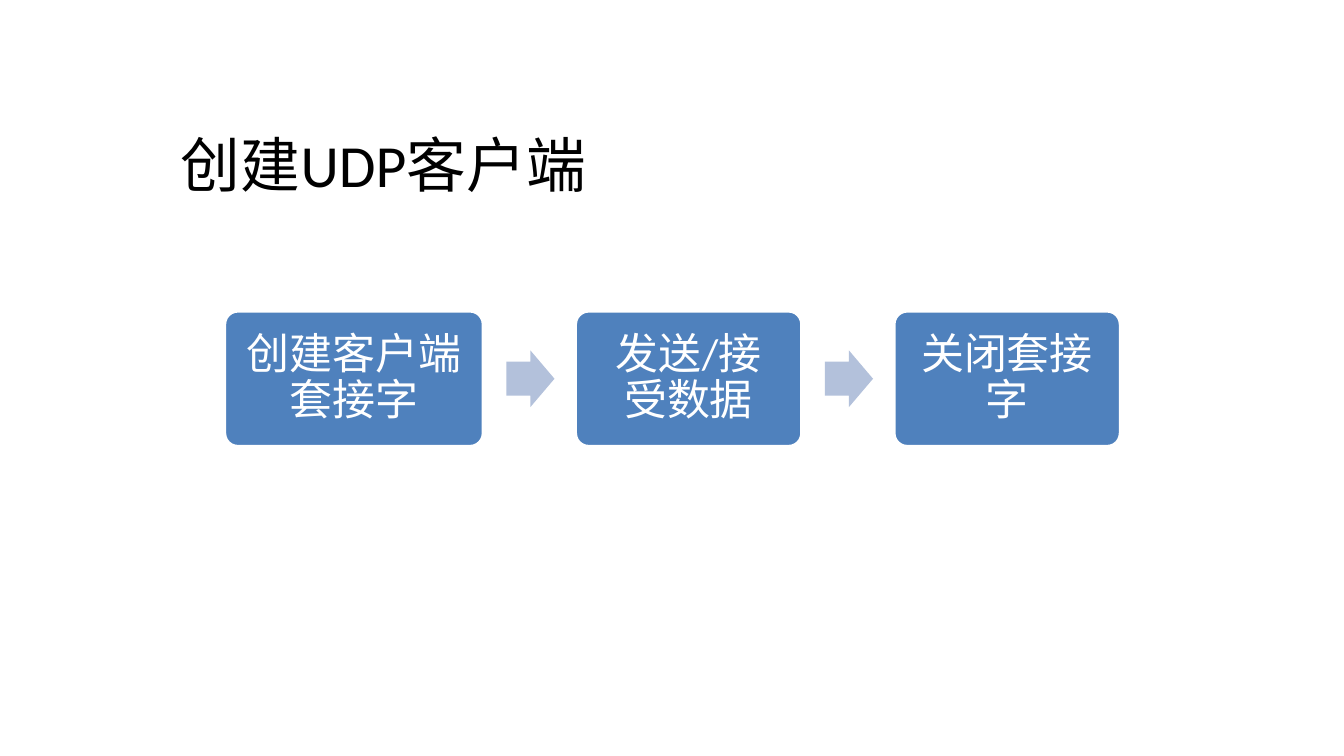
from pptx import Presentation
from pptx.dml.color import RGBColor
from pptx.enum.shapes import MSO_SHAPE
from pptx.enum.text import MSO_ANCHOR, PP_ALIGN
from pptx.util import Cm, Pt

COLORS = {"ink": "000000", "box": "4F81BD", "arrow": "B3C1DB", "white": "FFFFFF"}


class Deck:
    font = "Calibri"

    def __init__(self, slide):
        self.slide = slide

    def color(self, name):
        return RGBColor.from_string(COLORS[name])

    def label(self, frame, text, size, color):
        frame.word_wrap = True
        para = frame.paragraphs[0]
        run = para.add_run()
        run.text = text
        run.font.size = Pt(size)
        run.font.name = self.font
        run.font.color.rgb = self.color(color)
        return para

    def title(self, text, x, y, w, h):
        box = self.slide.shapes.add_textbox(Cm(x), Cm(y), Cm(w), Cm(h))
        self.label(box.text_frame, text, 32, "ink")

    def shape(self, kind, fill, x, y, w, h, *adjust):
        item = self.slide.shapes.add_shape(kind, Cm(x), Cm(y), Cm(w), Cm(h))
        item.shadow.inherit = False
        item.fill.solid()
        item.fill.fore_color.rgb = self.color(fill)
        item.line.fill.background()
        for i, value in enumerate(adjust):
            item.adjustments[i] = value
        return item

    def step(self, text, x, y, w, h):
        box = self.shape(MSO_SHAPE.ROUNDED_RECTANGLE, "box", x, y, w, h, 0.1)
        box.line.color.rgb = self.color("white")
        box.line.width = Pt(2)
        frame = box.text_frame
        frame.margin_left = frame.margin_right = Cm(0.33)
        frame.margin_top = frame.margin_bottom = Cm(0.33)
        frame.vertical_anchor = MSO_ANCHOR.MIDDLE
        para = self.label(frame, text, 23, "white")
        para.alignment = PP_ALIGN.CENTER
        para.line_spacing = 0.9

    def arrow(self, x, mid):
        w, h = 0.91, 1.07
        self.shape(MSO_SHAPE.RIGHT_ARROW, "arrow", x, mid - h / 2, w, h, 0.6, 0.5)


show = Presentation()
show.slide_width, show.slide_height = Cm(25.4), Cm(14.28)
deck = Deck(show.slides.add_slide(show.slide_layouts[6]))

deck.title("创建UDP客户端", 3.17, 2.29, 15.44, 1.7)

steps = [("创建客户端套接字", 4.9), ("发送/接受数据", 4.29), ("关闭套接字", 4.29)]
left, top, high, gap = 4.24, 5.87, 2.57, 1.73
for i, (text, wide) in enumerate(steps):
    if i:
        deck.arrow(left - gap + 0.43, top + high / 2)
    deck.step(text, left, top, wide, high)
    left += wide + gap

show.save("out.pptx")
